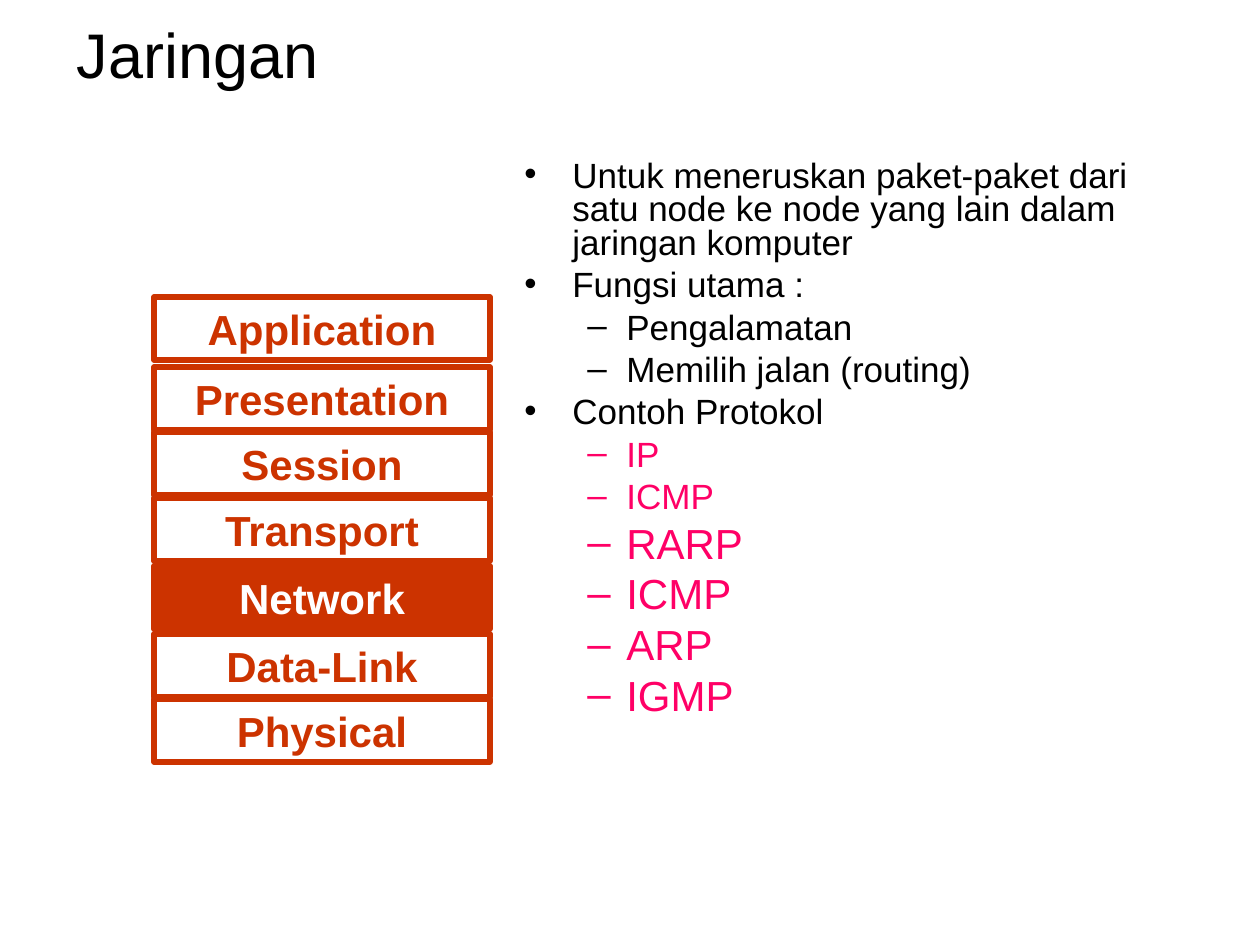
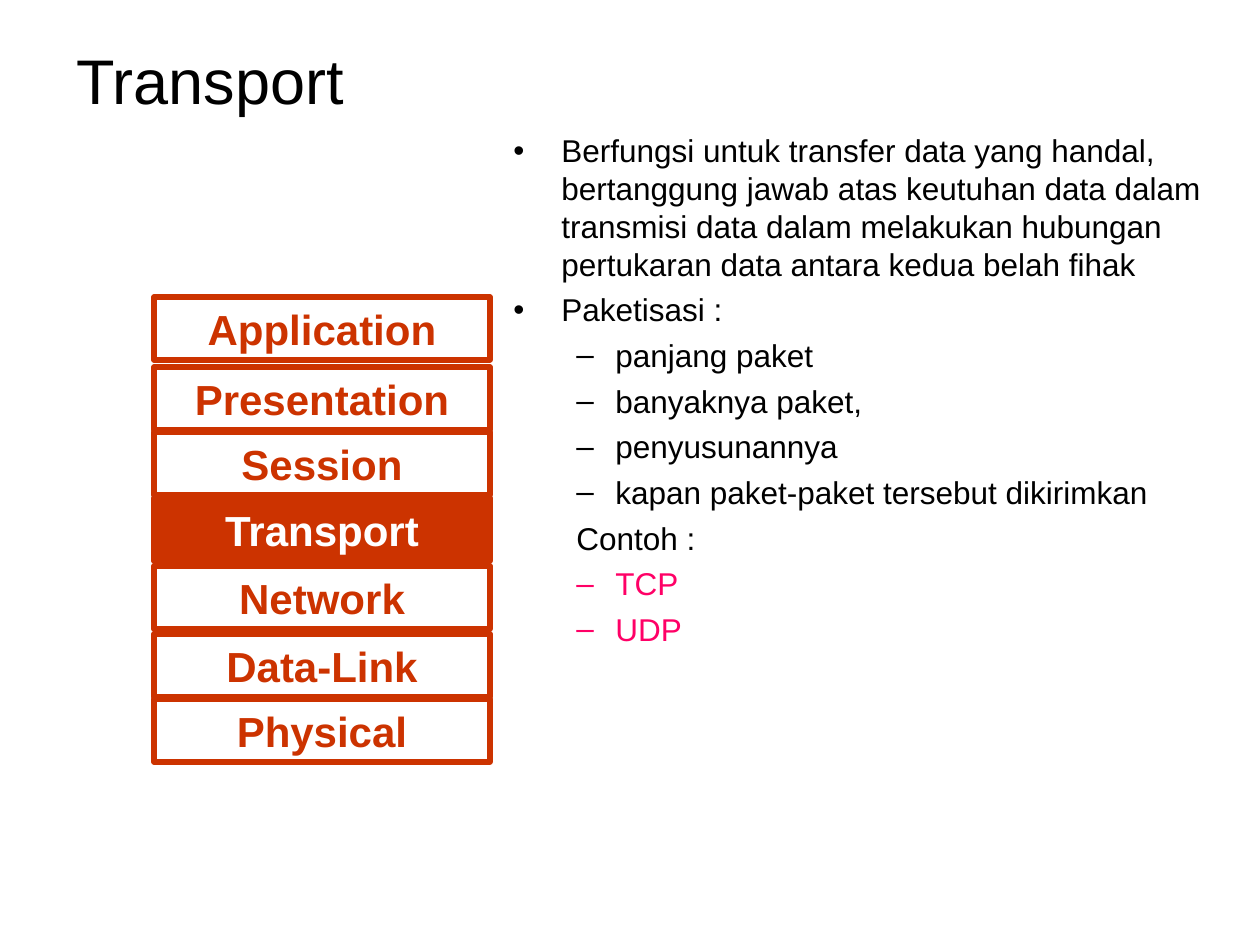
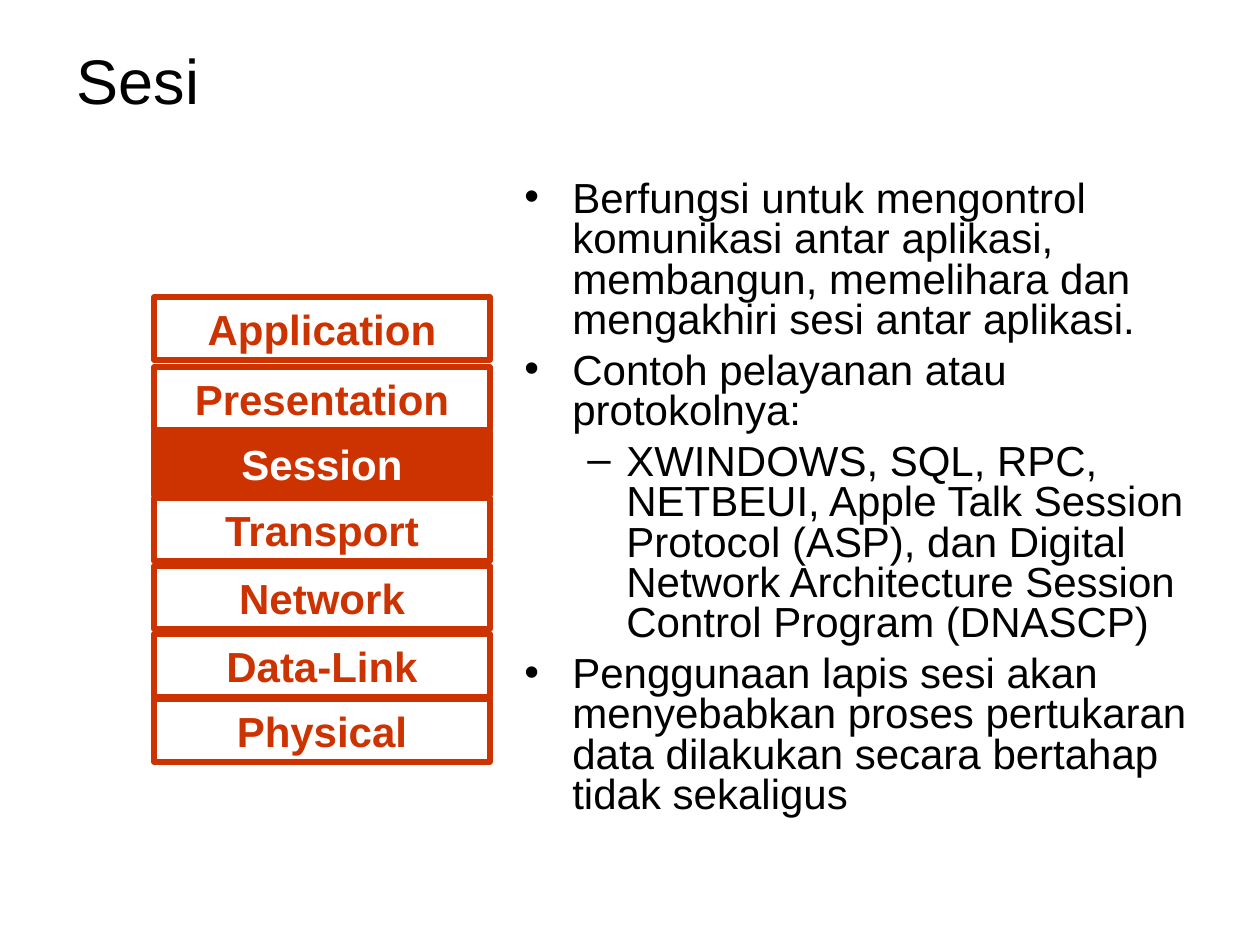
from lxml.etree import SubElement
from pptx import Presentation
from pptx.dml.color import RGBColor
from pptx.enum.shapes import MSO_SHAPE as Shape
from pptx.enum.text import MSO_ANCHOR as Anchor, MSO_AUTO_SIZE as AutoSize, PP_ALIGN as Align
from pptx.oxml.ns import qn
from pptx.util import Emu, Pt

BLACK = RGBColor(0x00, 0x00, 0x00)
WHITE = RGBColor(0xFF, 0xFF, 0xFF)
RUST = RGBColor(0xCC, 0x33, 0x00)
PINK = RGBColor(0xFF, 0x00, 0x66)
FONT = "Arial"
EMU_PER_PX = 914400 / 126

# Layer stack shared by all slides: name and top edge
LAYERS = [
    ("Application", 297), ("Presentation", 367), ("Session", 432),
    ("Transport", 498), ("Network", 566), ("Data-Link", 634), ("Physical", 699),
]
LAYER_LEFT, LAYER_WIDTH, LAYER_HEIGHT = 154, 336, 63

# Marker, left margin and hanging indent of each kind of body line
BULLET, DASH, PLAIN = "bullet", "dash", "plain"
LINE_STYLES = {BULLET: ("•", 0, 48, -48), DASH: ("–", 1, 102, -39), PLAIN: (None, 1, 102, -39)}

# Each body line: kind, text, then any format that differs from its slide
SLIDES = [
    {
        "title": "Jaringan", "title_height": 106, "layer": "Network",
        "body_box": (512, 155, 693, 624), "size": 20, "line_spacing": 0.8,
        "body": [
            (BULLET, "Untuk meneruskan paket-paket dari satu node ke node yang lain "
                     "dalam jaringan komputer", {}),
            (BULLET, "Fungsi utama :", {}),
            (DASH, "Pengalamatan", {}),
            (DASH, "Memilih jalan (routing)", {}),
            (BULLET, "Contoh Protokol", {}),
            (DASH, "IP", {"color": PINK}),
            (DASH, "ICMP", {"color": PINK}),
            *[(DASH, protocol, {"color": PINK, "size": 24})
              for protocol in ("RARP", "ICMP", "ARP", "IGMP")],
        ],
    },
    {
        "title": "Transport", "title_height": 158, "layer": "Transport",
        "body_box": (501, 125, 759, 624), "size": 18, "line_spacing": 1.0,
        "body": [
            (BULLET, "Berfungsi untuk transfer data yang handal, bertanggung jawab atas "
                     "keutuhan data dalam transmisi data dalam melakukan hubungan "
                     "pertukaran data antara kedua belah fihak", {}),
            (BULLET, "Paketisasi :", {}),
            (DASH, "panjang paket", {}),
            (DASH, "banyaknya paket,", {}),
            (DASH, "penyusunannya", {}),
            (DASH, "kapan paket-paket tersebut dikirimkan", {}),
            (PLAIN, "Contoh :", {}),
            (DASH, "TCP", {"color": PINK}),
            (DASH, "UDP", {"color": PINK}),
        ],
    },
    {
        "title": "Sesi", "title_height": 158, "layer": "Session",
        "body_box": (512, 175, 693, 662), "size": 24, "line_spacing": 0.8,
        "body": [
            (BULLET, "Berfungsi untuk mengontrol komunikasi antar aplikasi, membangun, "
                     "memelihara dan mengakhiri sesi antar aplikasi.", {}),
            (BULLET, "Contoh pelayanan atau protokolnya:", {}),
            (DASH, "XWINDOWS, SQL, RPC, NETBEUI, Apple Talk Session Protocol (ASP), dan "
                   "Digital Network Architecture Session Control Program (DNASCP)", {}),
            (BULLET, "Penggunaan lapis sesi akan menyebabkan proses pertukaran data "
                     "dilakukan secara bertahap tidak sekaligus", {}),
        ],
    },
]


def px(length):
    return Emu(round(length * EMU_PER_PX))


def box(*lengths):
    return [px(length) for length in lengths]


def write(paragraph, text, size=24, color=BLACK, bold=False, align=Align.LEFT,
          space_before=0, line_spacing=1.0):
    paragraph.alignment = align
    paragraph.space_before = Pt(space_before)
    paragraph.line_spacing = line_spacing
    run = paragraph.add_run()
    run.text = text
    font = run.font
    font.name, font.size, font.bold = FONT, Pt(size), bold
    font.color.rgb = color


def mark_line(paragraph, kind):
    marker, paragraph.level, margin, indent = LINE_STYLES[kind]
    properties = paragraph._p.get_or_add_pPr()
    properties.set("marL", str(px(margin)))
    properties.set("indent", str(px(indent)))
    if marker:
        SubElement(properties, qn("a:buFont"), typeface=FONT)
        SubElement(properties, qn("a:buChar"), char=marker)


def add_title(slide, text, height):
    title = slide.shapes.title
    title.left, title.top, title.width, title.height = box(64, 0, 1134, height)
    frame = title.text_frame
    frame.auto_size = AutoSize.NONE
    frame.vertical_anchor = Anchor.MIDDLE
    write(frame.paragraphs[0], text, size=36)


def add_body(slide, content):
    frame = slide.shapes.add_textbox(*box(*content["body_box"])).text_frame
    frame.word_wrap = True
    for index, (kind, text, changes) in enumerate(content["body"]):
        paragraph = frame.add_paragraph() if index else frame.paragraphs[0]
        size = changes.get("size", content["size"])
        line_format = {"size": size, "space_before": size / 4,
                       "line_spacing": content["line_spacing"], **changes}
        write(paragraph, text, **line_format)
        mark_line(paragraph, kind)


def add_layers(slide, current):
    for name, top in LAYERS:
        layer = slide.shapes.add_shape(
            Shape.RECTANGLE, *box(LAYER_LEFT, top, LAYER_WIDTH, LAYER_HEIGHT))
        layer.shadow.inherit = False
        fill, color = (RUST, WHITE) if name == current else (WHITE, RUST)
        layer.fill.solid()
        layer.fill.fore_color.rgb = fill
        layer.line.color.rgb = RUST
        layer.line.width = Pt(3)
        frame = layer.text_frame
        frame.vertical_anchor = Anchor.TOP
        frame.auto_size = AutoSize.SHAPE_TO_FIT_TEXT
        write(frame.paragraphs[0], name, color=color, bold=True,
              align=Align.CENTER, space_before=15)


def main():
    presentation = Presentation()
    presentation.slide_width, presentation.slide_height = box(1260, 945)
    title_only = presentation.slide_layouts[5]
    for content in SLIDES:
        slide = presentation.slides.add_slide(title_only)
        add_title(slide, content["title"], content["title_height"])
        add_body(slide, content)
        add_layers(slide, content["layer"])
    presentation.save("out.pptx")


if __name__ == "__main__":
    main()
